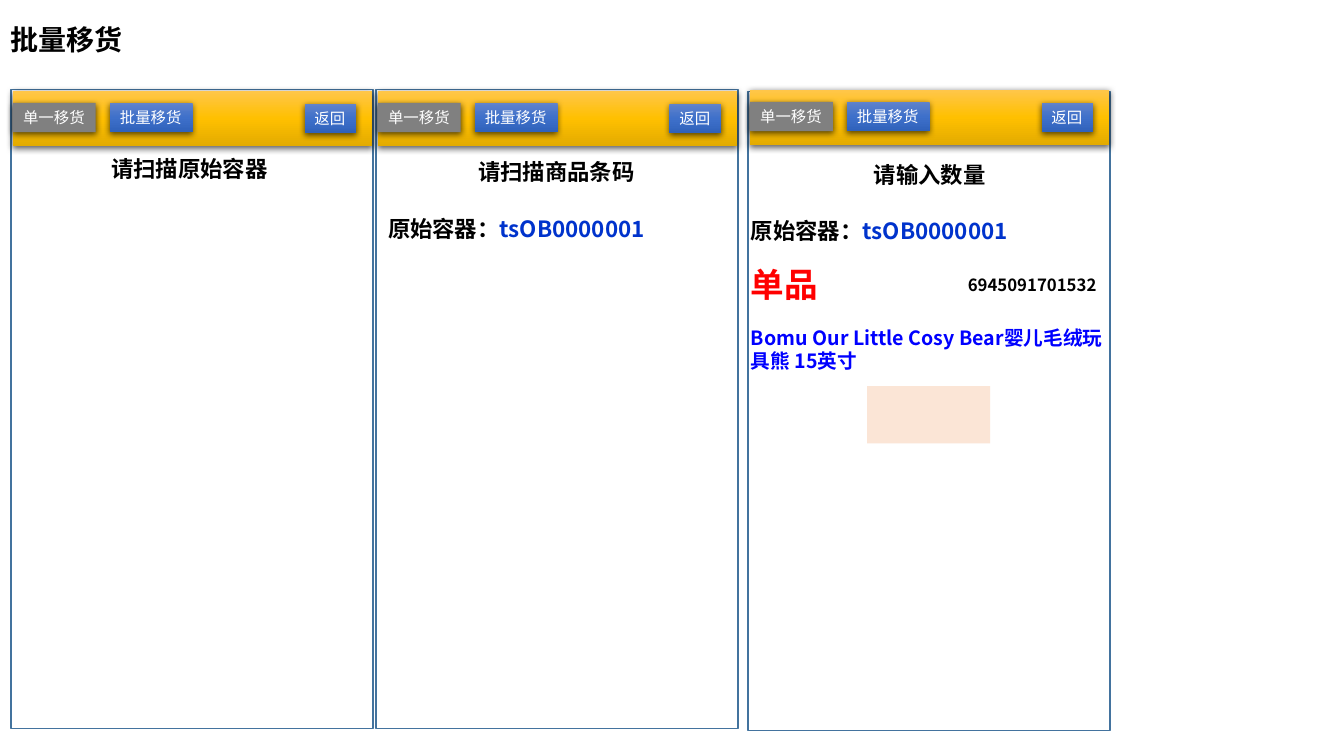
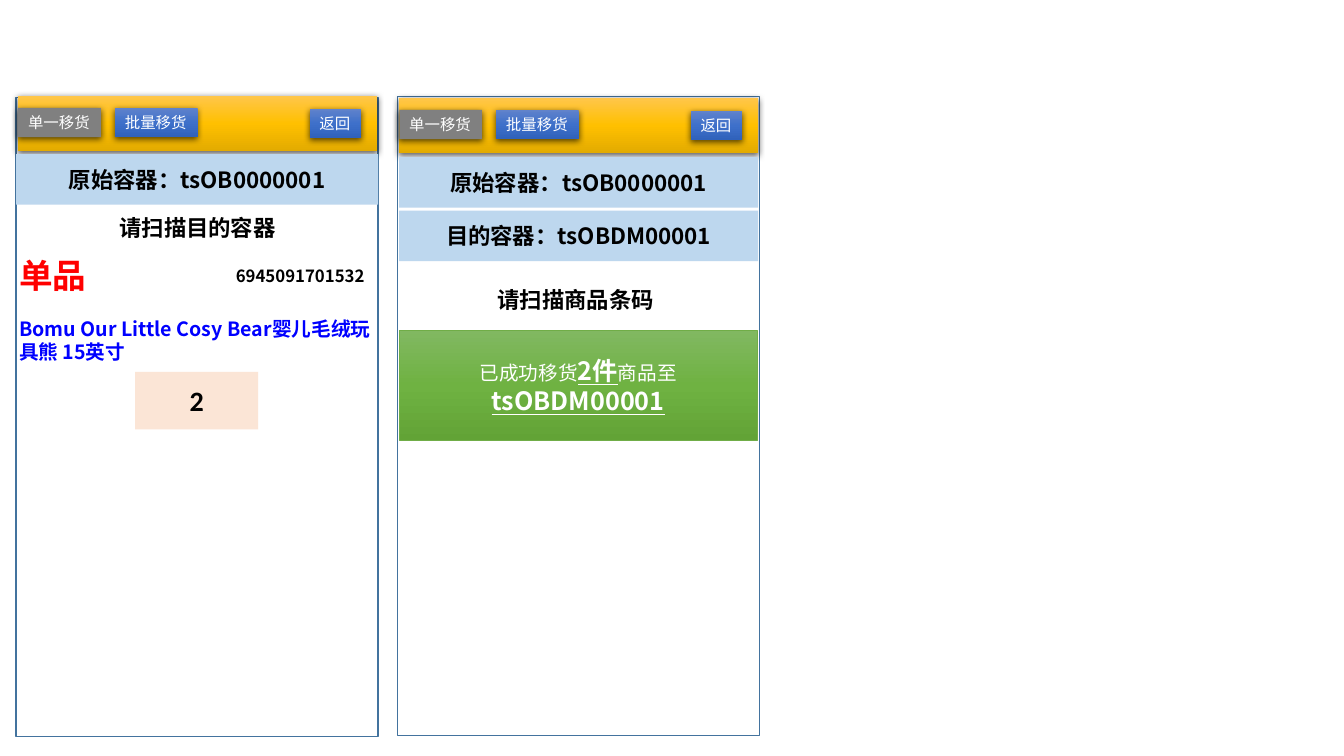
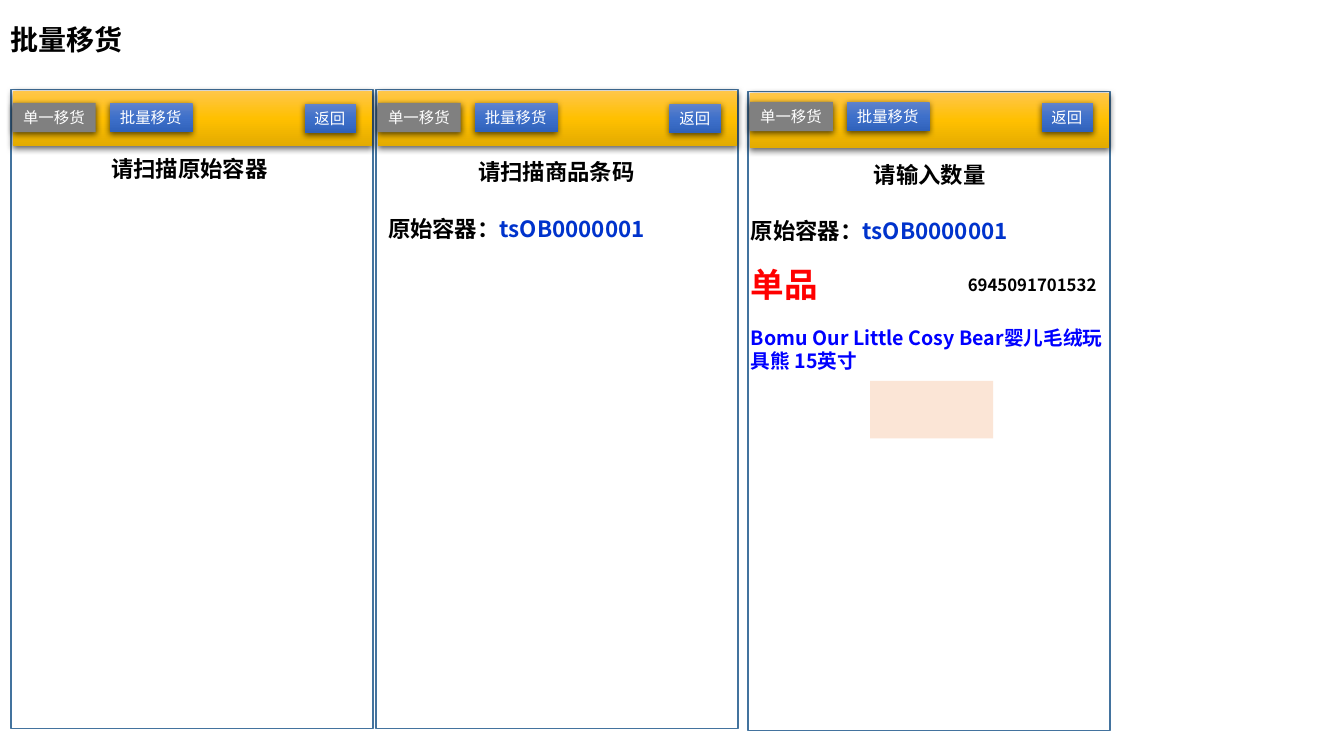
from dataclasses import dataclass

from lxml import etree
from pptx import Presentation
from pptx import util as u
from pptx.dml.color import RGBColor
from pptx.enum import shapes, text
from pptx.oxml import ns

PX = 9144  # one px is a hundredth of an inch
LEFT, MID = text.PP_ALIGN.LEFT, text.PP_ALIGN.CENTER
CJK = "Noto Sans CJK SC"


# Theme
@dataclass(frozen=True)
class Style:
    size: int
    color: str = "000000"
    bold: bool = True
    font: str = CJK


class Theme:
    white, frame, grey = "FFFFFF", "43739E", "808080"
    band, input, rim = "BDD7EE", "FBE5D6", "70AD47"
    gold = ("FFC64B", "FFC000", "E3AB00")
    blue = ("6183CB", "3E70CA", "3062BB")
    green = ("81B861", "6FB242", "62A336")
    title = Style(20, font="Arial")
    button = Style(11, white, False)
    prompt = Style(16)
    link = Style(16, "0033CC")
    tag = Style(24, "FF0000")
    code = Style(12)
    name = Style(14, "0000FF")
    count = Style(20, font="Calibri")
    note = Style(14, white, False)
    strong = Style(18, white)


SOURCE, TARGET = "tsOB0000001", "tsOBDM00001"


def box(x, y, w, h):
    return [u.Emu(n * PX) for n in (x, y, w, h)]


# Text
def dress(font, style):
    font.size, font.bold, font.name = u.Pt(style.size), style.bold, style.font
    font.color.rgb = RGBColor.from_string(style.color)


def add_ea(para):
    """Give East Asian letters the shared font."""
    for props in para._p.iter(ns.qn("a:defRPr"), ns.qn("a:rPr")):
        if props.find(ns.qn("a:latin")) is not None:
            etree.SubElement(props, ns.qn("a:ea"), typeface=CJK)


def write(shape, lines, style, align=LEFT, middle=False, wrap=True, grow=False):
    """Each line is a string or a list of (text, own style or None)."""
    frame = shape.text_frame
    frame.word_wrap = wrap
    fit = text.MSO_AUTO_SIZE
    frame.auto_size = fit.SHAPE_TO_FIT_TEXT if grow else fit.NONE
    anchor = text.MSO_ANCHOR
    frame.vertical_anchor = anchor.MIDDLE if middle else anchor.TOP
    for i, line in enumerate(lines):
        para = frame.add_paragraph() if i else frame.paragraphs[0]
        para.alignment = align
        dress(para.font, style)
        for words, own in [(line, None)] if isinstance(line, str) else line:
            run = para.add_run()
            run.text = words
            if own:
                dress(run.font, own)
                run.font.underline = own == Theme.strong
        add_ea(para)


def label(host, at, words, style, **how):
    write(host.shapes.add_textbox(*box(*at)), [words], style, **how)


# Shapes
def shade(shape, colors):
    """Run a gradient from top to bottom."""
    shape.fill.gradient()
    shape.fill.gradient_angle = 270
    stops = shape._element.spPr.find(".//" + ns.qn("a:gsLst"))
    for old in list(stops):
        stops.remove(old)
    for i, color in enumerate(colors):
        stop = etree.SubElement(stops, ns.qn("a:gs"), pos=str(i * 50000))
        etree.SubElement(stop, ns.qn("a:srgbClr"), val=color)


def lift(shape):
    """Add a soft shadow below."""
    effects = shape._element.spPr.find(ns.qn("a:effectLst"))
    cast = etree.SubElement(effects, ns.qn("a:outerShdw"), blurRad="57150",
                            dist="19050", dir="5400000", rotWithShape="0")
    color = etree.SubElement(cast, ns.qn("a:srgbClr"), val="000000")
    etree.SubElement(color, ns.qn("a:alpha"), val="63000")


def rect(slide, at, fill, line=None, width=1, raised=False):
    shape = slide.shapes.add_shape(shapes.MSO_SHAPE.RECTANGLE, *box(*at))
    shape.shadow.inherit = False
    if isinstance(fill, tuple):
        shade(shape, fill)
    else:
        shape.fill.solid()
        shape.fill.fore_color.rgb = RGBColor.from_string(fill)
    if line:
        shape.line.color.rgb = RGBColor.from_string(line)
        shape.line.width = u.Pt(width)
    else:
        shape.line.fill.background()
    if raised:
        lift(shape)
    return shape


# Parts of a screen
def button(slide, x, y, w, words, fill):
    shape = rect(slide, (x, y, w, 29), fill, raised=True)
    write(shape, [words], Theme.button, wrap=False, grow=True)


def screen(slide, x, y, bar=1, tabs=13):
    """Frame, gold bar and buttons; bar and tabs are offsets from the top."""
    rect(slide, (x, y, 359, 634), Theme.white, Theme.frame)
    rect(slide, (x + 2, y + bar, 356, 55), Theme.gold, raised=True)
    button(slide, x + 2, y + tabs, 82, "单一移货", Theme.grey)
    button(slide, x + 98, y + tabs, 82, "批量移货", Theme.blue)
    button(slide, x + 291, y + tabs + 1, 51, "返回", Theme.blue)


def prompt(slide, x, y, words):
    label(slide, (x, y, 356, 37), words, Theme.prompt, align=MID, grow=True)


def origin(slide, x, y):
    line = [("原始容器：", None), (SOURCE, Theme.link)]
    label(slide, (x, y, 359, 50), line, Theme.prompt, middle=True)


def band(slide, x, y, w, words):
    shape = rect(slide, (x, y, w, 50), Theme.band)
    write(shape, [words], Theme.prompt, align=MID, middle=True)


def product(slide, x, y):
    group = slide.shapes.add_group_shape()
    label(group, (x, y + 61, 378, 57), "Bomu Our Little Cosy Bear婴儿毛绒玩具熊 15英寸",
          Theme.name, grow=True)
    label(group, (x, y, 105, 50), "单品", Theme.tag, grow=True)
    label(group, (x + 215, y + 11, 191, 30), "6945091701532", Theme.code, grow=True)


def amount(slide, x, y, words=None):
    shape = rect(slide, (x, y, 122, 57), Theme.input)
    if words:
        write(shape, [words], Theme.count, align=MID, middle=True)


def notice(slide, x, y):
    shape = rect(slide, (x, y, 355, 109), Theme.green, Theme.rim, 0.5)
    lines = [[("已成功移货", None), ("2件", Theme.strong), ("商品至", None)],
             [(TARGET, Theme.strong)]]
    write(shape, lines, Theme.note, align=MID, middle=True)


# Slides
def heading(slide, words):
    title = slide.shapes.title
    title.left, title.top, title.width, title.height = box(0, 22, 1150, 38)
    write(title, [words], Theme.title, middle=True)
    title.text_frame.paragraphs[0].line_spacing = 0.9


def scan(deck, bar, field):
    """Three screens: scan the container, scan the item, enter the amount."""
    slide = deck.slides.add_slide(deck.slide_layouts[5])
    heading(slide, "批量移货")
    screen(slide, 11, 89)
    prompt(slide, 10, 149, "请扫描原始容器")
    screen(slide, 373, 89)
    prompt(slide, 374, 152, "请扫描商品条码")
    origin(slide, 375, 202)
    screen(slide, 742, 91, bar, 10)
    prompt(slide, 744, 155, "请输入数量")
    product(slide, 735, 257)
    origin(slide, 735, 204)
    amount(slide, *field)


def finish(deck):
    """Two screens: scan the target, then the result."""
    slide = deck.slides.add_slide(deck.slide_layouts[6])
    screen(slide, 394, 96)
    band(slide, 396, 209, 356, "目的容器：" + TARGET)
    band(slide, 396, 156, 356, "原始容器：" + SOURCE)
    notice(slide, 396, 328)
    prompt(slide, 393, 279, "请扫描商品条码")
    screen(slide, 16, 97, -2, 10)
    prompt(slide, 18, 208, "请扫描目的容器")
    band(slide, 16, 153, 359, "原始容器：" + SOURCE)
    product(slide, 9, 248)
    amount(slide, 134, 369, "2")


def main():
    deck = Presentation()
    deck.slide_width, deck.slide_height = u.Emu(1333 * PX), u.Emu(750 * PX)
    scan(deck, -2, (860, 383))
    finish(deck)
    scan(deck, 1, (863, 378))
    deck.save("out.pptx")


if __name__ == "__main__":
    main()
